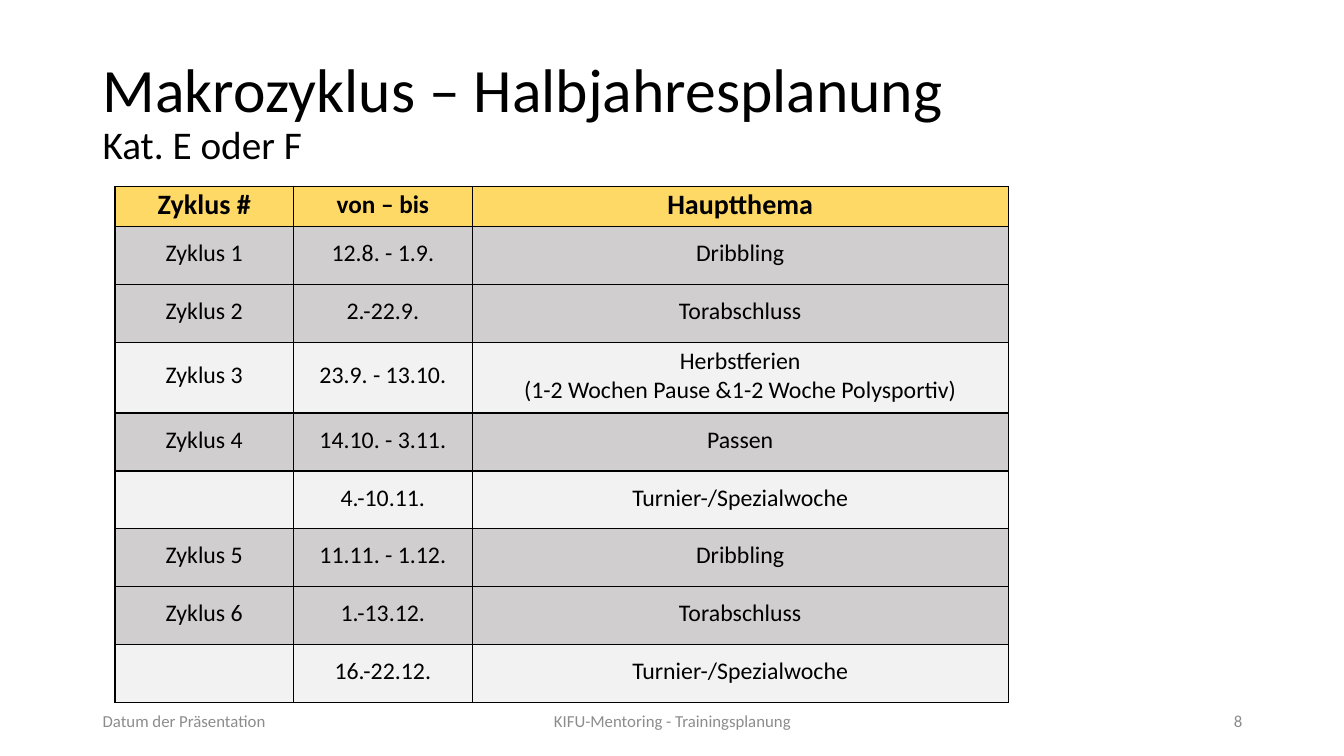
from lxml import etree
from pptx import Presentation
from pptx.dml.color import RGBColor
from pptx.enum import text as t
from pptx.oxml import ns
from pptx.util import Inches, Pt

FONT = "Calibri"
HEX = {"ink": "000000", "muted": "8C8C8C", "head": "FFD966",
       "theme": "D0CECE", "break": "F2F2F2"}
LEFT, MID, RIGHT = t.PP_ALIGN.LEFT, t.PP_ALIGN.CENTER, t.PP_ALIGN.RIGHT

HEAD = [("Zyklus #", 20), ("von – bis", 18), ("Hauptthema", 20)]
PLAN = [
    ("theme", "Zyklus 1", "12.8. - 1.9.", "Dribbling"),
    ("theme", "Zyklus 2", "2.-22.9.", "Torabschluss"),
    ("break", "Zyklus 3", "23.9. - 13.10.",
     "Herbstferien\n(1-2 Wochen Pause &1-2 Woche Polysportiv)"),
    ("theme", "Zyklus 4", "14.10. - 3.11.", "Passen"),
    ("break", "", "4.-10.11.", "Turnier-/Spezialwoche"),
    ("theme", "Zyklus 5", "11.11. - 1.12.", "Dribbling"),
    ("theme", "Zyklus 6", "1.-13.12.", "Torabschluss"),
    ("break", "", "16.-22.12.", "Turnier-/Spezialwoche"),
]


def style(font, size, color, bold=False):
    font.name, font.size, font.bold = FONT, Pt(size), bold
    font.color.rgb = RGBColor.from_string(HEX[color])


def write(frame, words, size=17, color="ink", bold=False, align=MID):
    """Fill a text frame, one paragraph per line of words."""
    for n, line in enumerate(words.split("\n")):
        para = frame.add_paragraph() if n else frame.paragraphs[0]
        para.alignment = align
        style(para.font, size, color, bold)
        if line:
            run = para.add_run()
            run.text = line
            style(run.font, size, color, bold)
    return para


def add_box(slide, box):
    frame = slide.shapes.add_textbox(*map(Inches, box)).text_frame
    frame.word_wrap = True
    frame.vertical_anchor = t.MSO_ANCHOR.MIDDLE
    return frame


def add_title(slide, box):
    para = write(add_box(slide, box), "Makrozyklus – Halbjahresplanung",
                 size=44, align=LEFT)
    para.line_spacing = 0.9
    para.add_line_break()
    run = para.add_run()
    run.text = "Kat. E oder F"
    style(run.font, 28, "ink")


def add_footer(slide, box):
    x, y, w, h = box
    side, mid = 3, 4.5
    parts = [
        (x, side, "Datum der Präsentation", LEFT),
        (x + (w - mid) / 2, mid, "KIFU-Mentoring - Trainingsplanung", MID),
        (x + w - side, side, "8", RIGHT),
    ]
    for left, wide, words, align in parts:
        write(add_box(slide, (left, y, wide, h)), words,
              size=12, color="muted", align=align)


def add_edges(cell):
    """Draw a thin black line on all four sides of a cell."""
    props = cell._tc.get_or_add_tcPr()
    for n, side in enumerate(("lnL", "lnR", "lnT", "lnB")):
        line = etree.Element(ns.qn("a:" + side), w=str(Pt(1)))
        fill = etree.SubElement(line, ns.qn("a:solidFill"))
        etree.SubElement(fill, ns.qn("a:srgbClr"), val=HEX["ink"])
        props.insert(n, line)


def fill_cell(cell, words, color, **form):
    cell.margin_left = cell.margin_right = cell.margin_top = Inches(0.01)
    cell.margin_bottom = Inches(0.05)
    cell.vertical_anchor = t.MSO_ANCHOR.MIDDLE
    cell.fill.solid()
    cell.fill.fore_color.rgb = RGBColor.from_string(HEX[color])
    add_edges(cell)
    write(cell.text_frame, words, **form)


def add_plan(slide, box):
    x, y, w, h = box
    grid = slide.shapes.add_table(len(PLAN) + 1, len(HEAD),
                                  *map(Inches, box)).table
    grid.horz_banding = False
    for col, share in zip(grid.columns, (0.2, 0.2, 0.6)):
        col.width = Inches(w * share)
    top, tall = 0.4, 0.7
    low = (h - top - tall) / (len(PLAN) - 1)
    grid.rows[0].height = Inches(top)
    for c, (words, size) in enumerate(HEAD):
        fill_cell(grid.cell(0, c), words, "head", size=size, bold=True)
    for r, (kind, *row) in enumerate(PLAN, 1):
        grid.rows[r].height = Inches(tall if "\n" in row[-1] else low)
        for c, words in enumerate(row):
            fill_cell(grid.cell(r, c), words, kind)


def main():
    deck = Presentation()
    deck.slide_width, deck.slide_height = Inches(13.33), Inches(7.5)
    slide = deck.slides.add_slide(deck.slide_layouts[6])
    add_title(slide, (0.92, 0.4, 11.5, 1.45))
    add_footer(slide, (0.92, 6.95, 11.5, 0.4))
    add_plan(slide, (1.14, 1.85, 8.86, 5.12))
    deck.save("out.pptx")


if __name__ == "__main__":
    main()
